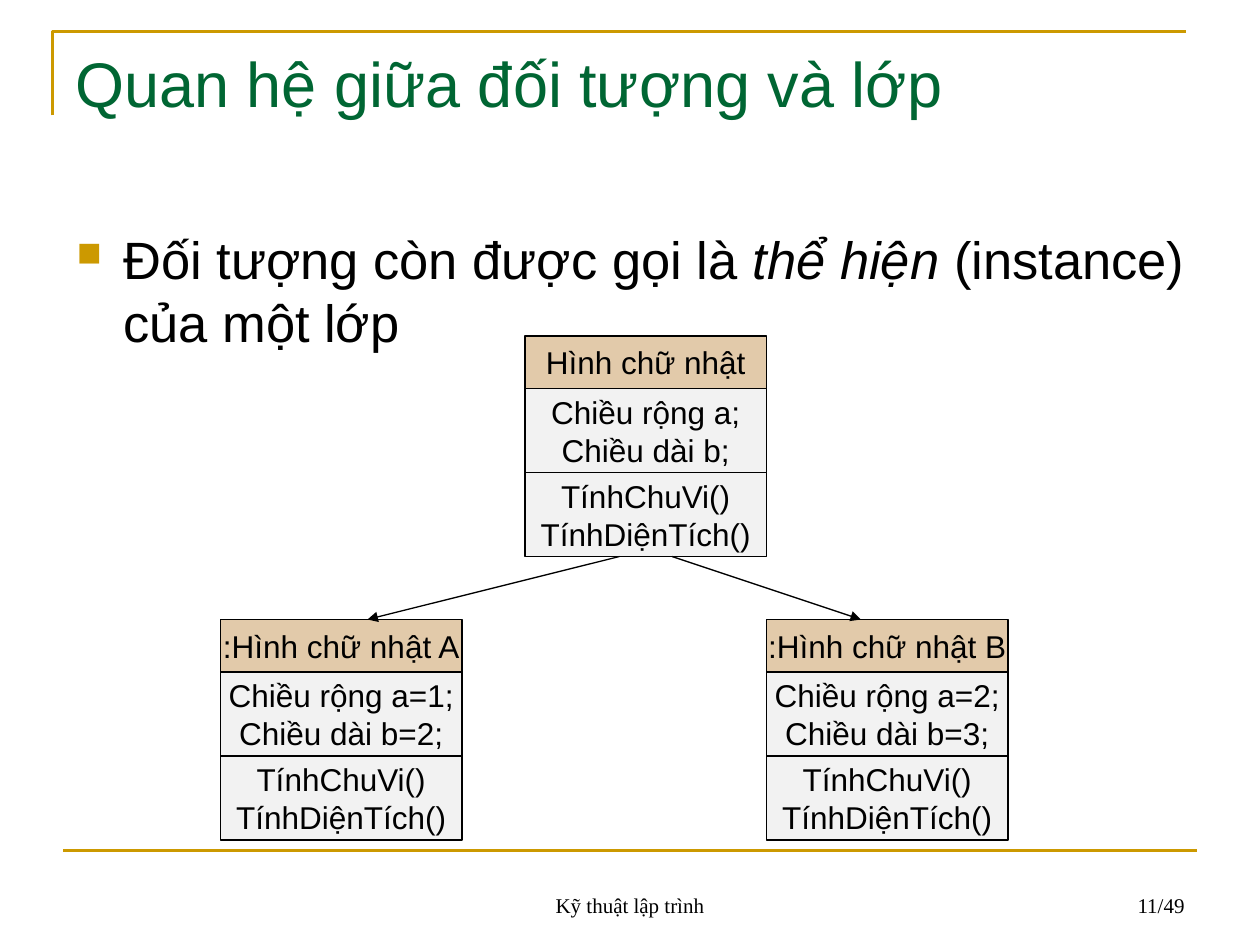
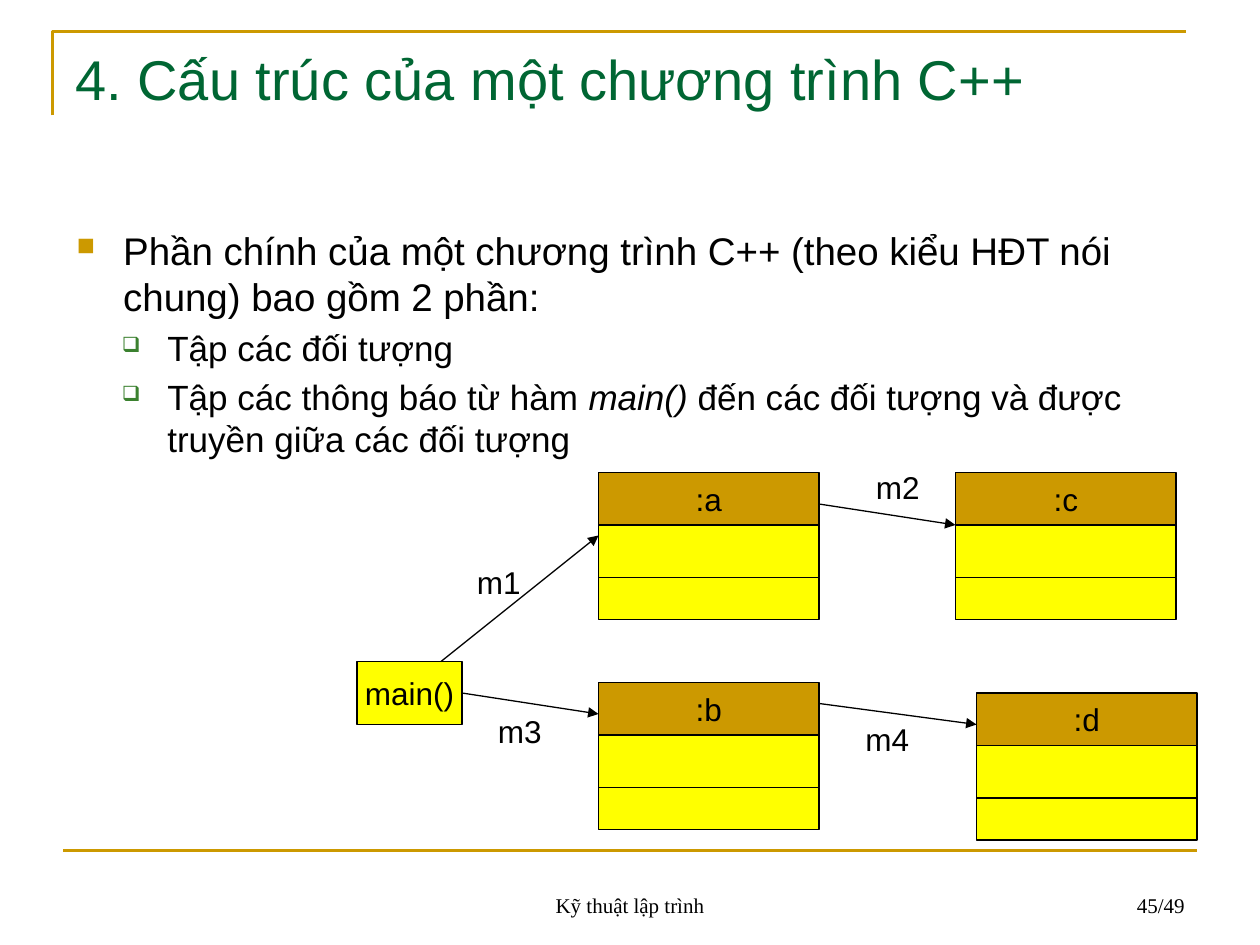
import pptx
import pptx.util
import pptx.dml.color
import pptx.enum.shapes
import pptx.enum.text
import pptx.oxml.ns
from lxml import etree

RGB = pptx.dml.color.RGBColor
GOLD = RGB(0xCC, 0x99, 0x00)
GREEN = RGB(0x00, 0x66, 0x33)
LEAF = RGB(0x3B, 0x81, 0x2F)
BLACK = RGB(0, 0, 0)
TAN = RGB(0xE2, 0xCA, 0xAA)
PALE = RGB(0xF2, 0xF2, 0xF2)
YELLOW = RGB(0xFF, 0xFF, 0x00)

ALIGN = pptx.enum.text.PP_ALIGN
ANCHOR = pptx.enum.text.MSO_ANCHOR
SHAPE = pptx.enum.shapes.MSO_SHAPE
INCH = pptx.util.Inches
qn = pptx.oxml.ns.qn

SERIF = "Times New Roman"
THIN, THICK = 0.74, 1.5

# All places are in cells of a grid of 120 columns by 90 rows.
deck = pptx.Presentation()
deck.slide_width, deck.slide_height = INCH(10), INCH(7.5)
CELL = deck.slide_width / 120

# Bullet of each level: sign, colour, size in percent, margin, indent
MARKS = [("■", GOLD, 65, 0.38, -0.37), ("❑", LEAF, 60, 0.73, -0.36)]


def put(shapes, text, box, fill=None, size=18, font="Arial", color=BLACK,
        align=ALIGN.CENTER, anchor=ANCHOR.TOP, before=0, levels=None):
    """Add a text box, or a filled box; stars in the text mark italics."""
    place = [round(v * CELL) for v in box]
    if fill is None:
        shape = shapes.add_textbox(*place)
    else:
        shape = shapes.add_shape(SHAPE.RECTANGLE, *place)
        shape.shadow.inherit = False
        shape.fill.solid()
        shape.fill.fore_color.rgb = fill
        shape.line.color.rgb = BLACK
        shape.line.width = pptx.util.Pt(THIN)
        anchor = ANCHOR.MIDDLE
    frame = shape.text_frame
    frame.word_wrap = fill is None
    frame.vertical_anchor = anchor
    for i, row in enumerate(text.split("\n")):
        para = frame.add_paragraph() if i else frame.paragraphs[0]
        para.alignment = align
        level = levels[i] if levels else 0
        points = size[level] if levels else size
        para.space_before = pptx.util.Pt(0.2 * points if levels else before)
        for j, part in enumerate(row.split("*")):
            if part:
                run = para.add_run()
                run.text = part
                run.font.size = pptx.util.Pt(points)
                run.font.name = font
                run.font.color.rgb = color
                run.font.italic = j % 2 == 1
        if levels:
            sign, tint, share, margin, indent = MARKS[level]
            para.level = level
            props = para._p.get_or_add_pPr()
            props.set("marL", str(INCH(margin)))
            props.set("indent", str(INCH(indent)))
            hue = etree.SubElement(props, qn("a:buClr"))
            etree.SubElement(hue, qn("a:srgbClr"), val=str(tint))
            etree.SubElement(props, qn("a:buSzPct"), val=str(share * 1000))
            etree.SubElement(props, qn("a:buChar"), char=sign)


def link(shapes, ends, color=BLACK, width=THIN, arrow=True):
    """Draw a straight line, with an arrowhead at its far end if asked."""
    line = shapes.add_connector(pptx.enum.shapes.MSO_CONNECTOR.STRAIGHT,
                                *[round(v * CELL) for v in ends])
    line.line.color.rgb = color
    line.line.width = pptx.util.Pt(width)
    props = line._element.spPr
    if arrow:
        etree.SubElement(props.find(qn("a:ln")), qn("a:tailEnd"), type="triangle")
    etree.SubElement(props, qn("a:effectLst"))


WORK = "TínhChuVi()\nTínhDiệnTích()"
PAGES = [
    dict(
        title="Quan hệ giữa đối tượng và lớp", big=36, page="11/49",
        body="Đối tượng còn được gọi là *thể hiện* (instance) của một lớp",
        sizes=[30], levels=[0],
        width=23, rows=[5, 8, 8], fills=[TAN, PALE, PALE],
        stacks=[
            (50, 32, ["Hình chữ nhật", "Chiều rộng a;\nChiều dài b;", WORK]),
            (21, 59, [":Hình chữ nhật A", "Chiều rộng a=1;\nChiều dài b=2;", WORK]),
            (73, 59, [":Hình chữ nhật B", "Chiều rộng a=2;\nChiều dài b=3;", WORK]),
        ],
        boxes=[],
        links=[(64, 53, 82, 59), (59, 53, 35, 59)],
        labels=[],
    ),
    dict(
        title="4. Cấu trúc của một chương trình C++", big=32, page="45/49",
        body="Phần chính của một chương trình C++ (theo kiểu HĐT nói chung) "
             "bao gồm 2 phần:\n"
             "Tập các đối tượng\n"
             "Tập các thông báo từ hàm *main()* đến các đối tượng và được "
             "truyền giữa các đối tượng",
        sizes=[22, 20], levels=[0, 1, 1],
        width=21, rows=[5, 5, 4], fills=[GOLD, YELLOW, YELLOW],
        stacks=[
            (57, 45, [":a", "", ""]),
            (57, 65, [":b", "", ""]),
            (91, 45, [":c", "", ""]),
            (93, 66, [":d", "", ""]),
        ],
        boxes=[("main()", (34, 63, 10, 6))],
        links=[(42, 63, 57, 51), (44, 66, 57, 68),
               (78, 48, 91, 50), (78, 67, 93, 69)],
        labels=[("m1", 43, 53), ("m2", 81, 44), ("m3", 45, 67.2), ("m4", 80, 68)],
    ),
]

for page in PAGES:
    shapes = deck.slides.add_slide(deck.slide_layouts[6]).shapes

    # Frame and footer
    path = shapes.build_freeform(5, 11, scale=CELL)
    path.add_line_segments([(5, 3), (113, 3)], close=False)
    edge = path.convert_to_shape()
    edge.shadow.inherit = False
    edge.fill.background()
    edge.line.color.rgb = GOLD
    edge.line.width = pptx.util.Pt(THICK)
    link(shapes, (6, 81, 114, 81), color=GOLD, width=THICK, arrow=False)
    put(shapes, "Kỹ thuật lập trình", (41, 82, 38, 6), size=12, font=SERIF,
        anchor=ANCHOR.BOTTOM)
    put(shapes, page["page"], (86, 82, 28, 6), size=12, font=SERIF,
        align=ALIGN.RIGHT, anchor=ANCHOR.BOTTOM)

    # Title and body
    put(shapes, page["title"], (6, 3.6, 108, 15), size=page["big"],
        color=GREEN, align=ALIGN.LEFT)
    put(shapes, page["body"], (6, 21, 108, 59.4), size=page["sizes"],
        align=ALIGN.LEFT, levels=page["levels"])

    # Diagram
    for text, box in page["boxes"]:
        put(shapes, text, box, fill=YELLOW)
    for left, top, texts in page["stacks"]:
        group = shapes.add_group_shape().shapes
        for text, high, fill in zip(texts, page["rows"], page["fills"]):
            put(group, text, (left, top, page["width"], high), fill=fill)
            top += high
    for ends in page["links"]:
        link(shapes, ends)
    for text, left, top in page["labels"]:
        put(shapes, text, (left, top, 9, 4.8), before=6)

deck.save("out.pptx")
